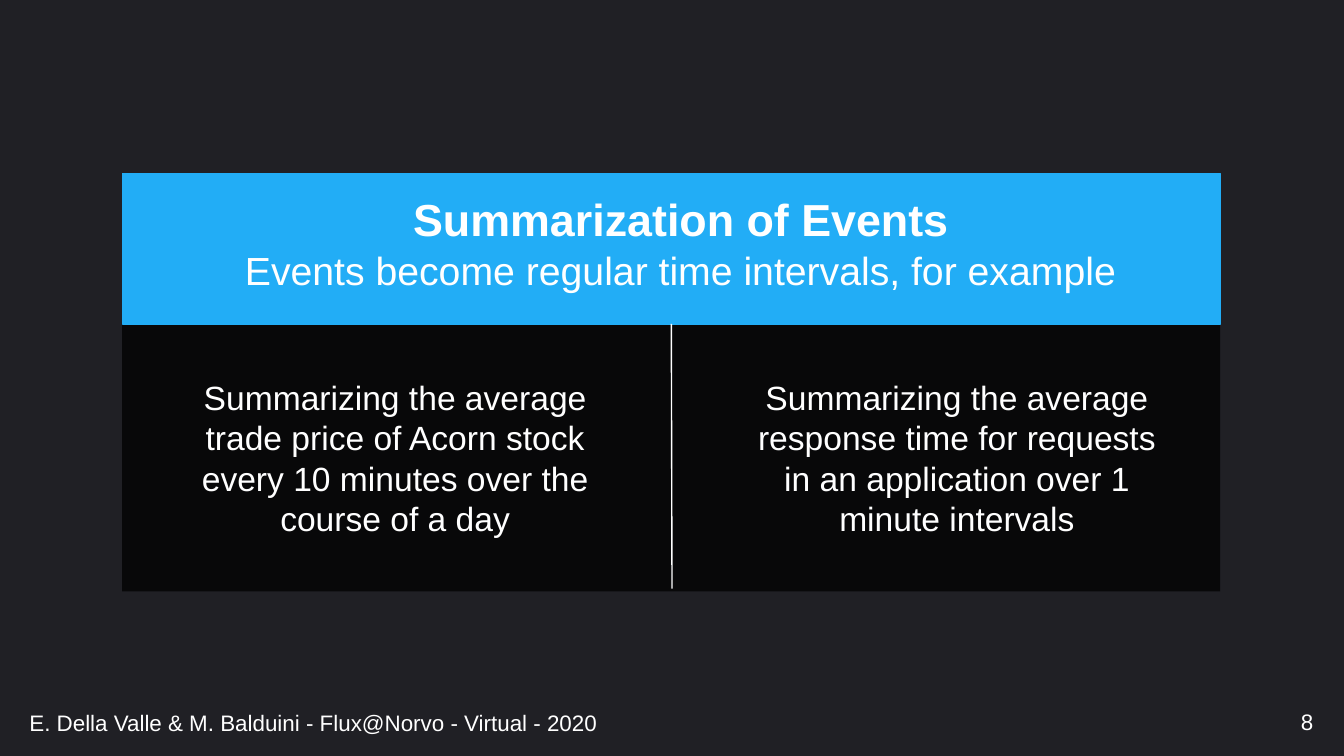
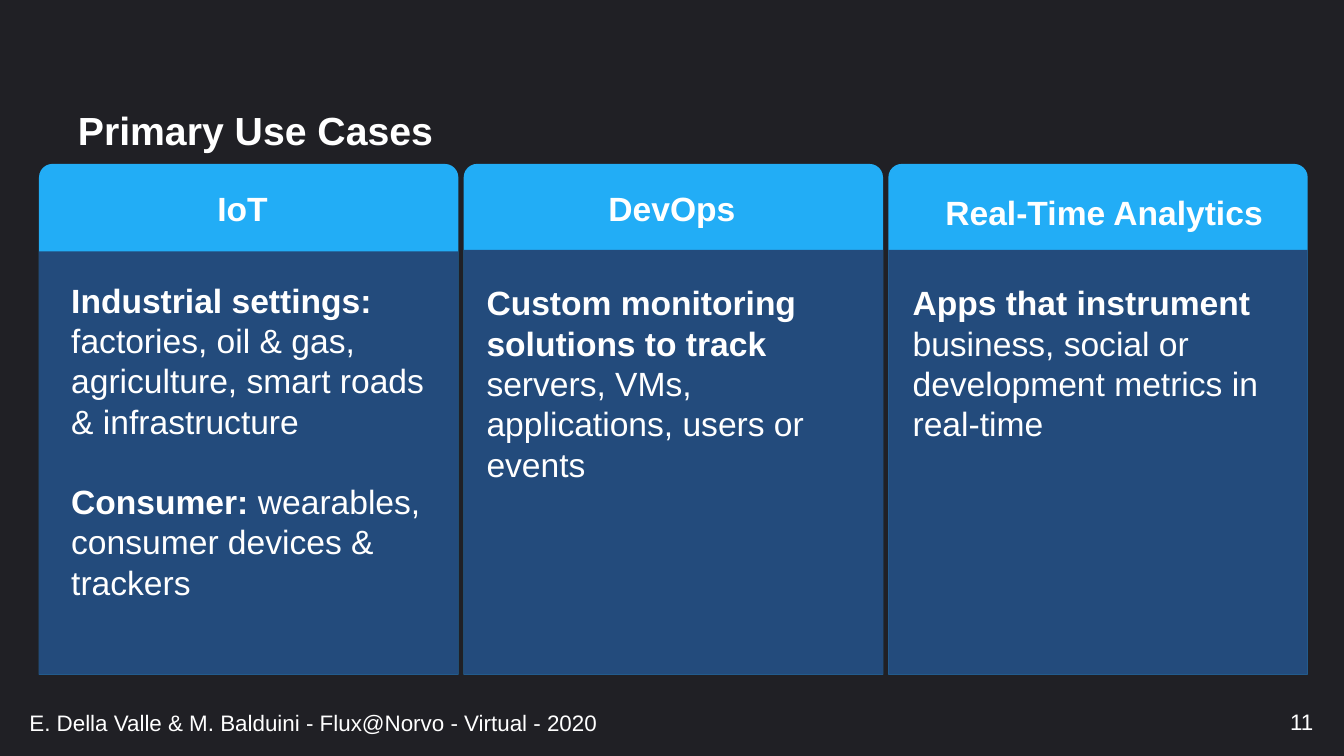
from lxml import etree
from pptx import Presentation
from pptx.dml.color import RGBColor
from pptx.enum.shapes import MSO_CONNECTOR, MSO_SHAPE
from pptx.enum.text import MSO_ANCHOR, PP_ALIGN
from pptx.oxml.ns import qn
from pptx.util import Inches, Pt

RECT = MSO_SHAPE.RECTANGLE
ROUND_TOP = MSO_SHAPE.ROUND_2_SAME_RECTANGLE
STRAIGHT = MSO_CONNECTOR.STRAIGHT
LEFT, CENTER, RIGHT = PP_ALIGN.LEFT, PP_ALIGN.CENTER, PP_ALIGN.RIGHT
TOP, MIDDLE = MSO_ANCHOR.TOP, MSO_ANCHOR.MIDDLE

DARK = RGBColor(0x20, 0x20, 0x25)
BLACK = RGBColor(0x00, 0x00, 0x00)
WHITE = RGBColor(0xFF, 0xFF, 0xFF)
SKY = RGBColor(0x22, 0xAD, 0xF6)
NAVY = RGBColor(0x23, 0x4B, 0x7C)

FONT = "Arial"
FOOTER = "E. Della Valle & M. Balduini - Flux@Norvo - Virtual - 2020"
WIDE_INSETS = (0.1, 0.1)
SLIM_INSETS = (0.07, 0.04)

EXAMPLES = [
    (1.3, "Summarizing the average trade price of Acorn stock "
          "every 10 minutes over the course of a day"),
    (5.48, "Summarizing the average response time for requests "
           "in an application over 1 minute intervals"),
]

CARD_LEFT, CARD_TOP, CARD_W, CARD_H, CARD_STEP = 0.29, 1.22, 3.12, 3.8, 3.16
USE_CASES = [
    ("IoT", (1.54, 1.36, 0.53, 0.38), 1.87, (0.46, 2.04, 2.79, 3.02), [
        [("Industrial settings:", True),
         (" factories, oil & gas, agriculture, smart roads & infrastructure", False)],
        [("Consumer:", True),
         (" wearables, consumer devices & trackers", False)],
    ]),
    ("DevOps", (4.45, 1.36, 1.1, 0.38), 1.86, (3.55, 2.06, 2.81, 2.79), [
        [("Custom monitoring solutions to track ", True),
         ("servers, VMs, applications, users or events", False)],
    ]),
    ("Real-Time Analytics", (6.72, 1.39, 2.99, 0.3), 1.86, (6.72, 2.06, 2.81, 2.79), [
        [("Apps that instrument ", True),
         ("business, social or development metrics in real-time", False)],
    ]),
]


def add_box(s, at, color, kind=RECT, radius=None, line=None, alpha=None):
    """Add a filled preset shape, optionally outlined or translucent."""
    sp = s.shapes.add_shape(kind, *map(Inches, at))
    sp.shadow.inherit = False
    sp.fill.solid()
    sp.fill.fore_color.rgb = color
    if radius is not None:
        sp.adjustments[0] = radius
    if line is None:
        sp.line.fill.background()
    else:
        sp.line.color.rgb = line
        sp.line.width = Pt(0.75)
    if alpha is not None:
        clr = sp._element.spPr.find(qn("a:solidFill"))[0]
        etree.SubElement(clr, qn("a:alpha")).set("val", str(alpha * 1000))
    return sp


def add_divider(s, upper, x, bottom):
    """Draw a thin line down from the bottom of a box."""
    cx = s.shapes.add_connector(STRAIGHT, Inches(x), upper.top + upper.height,
                                Inches(x), Inches(bottom))
    cx.begin_connect(upper, 2)
    cx.line.color.rgb = WHITE
    cx.line.width = Pt(0.75)
    etree.SubElement(cx._element.spPr, qn("a:effectLst"))


def add_run(p, text, size, bold=False):
    """Append one white run to a paragraph."""
    r = p.add_run()
    r.text = text
    r.font.name = FONT
    r.font.size = Pt(size)
    r.font.bold = bold
    r.font.color.rgb = WHITE


def add_text(s, at, insets=SLIM_INSETS, anchor=TOP, wrap=True):
    """Add an empty text box and return its text frame."""
    tf = s.shapes.add_textbox(*map(Inches, at)).text_frame
    tf.word_wrap = wrap
    tf.vertical_anchor = anchor
    tf.margin_left = tf.margin_right = Inches(insets[0])
    tf.margin_top = tf.margin_bottom = Inches(insets[1])
    return tf


def add_label(s, at, text, size, bold=False, align=LEFT, **frame):
    """Add a text box holding a single run."""
    p = add_text(s, at, **frame).paragraphs[0]
    p.alignment = align
    add_run(p, text, size, bold)
    return p


def add_slide(prs, number):
    """Add a dark slide with the footer and its page number."""
    s = prs.slides.add_slide(prs.slide_layouts[6])
    s.background.fill.solid()
    s.background.fill.fore_color.rgb = DARK
    footer = {"insets": (0.1, 0.05), "anchor": MIDDLE}
    add_label(s, (0.12, 5.23, 7.45, 0.29), FOOTER, 12, **footer)
    add_label(s, (7.62, 5.22, 2.25, 0.3), str(number), 12, align=RIGHT, **footer)
    return s


def add_card(s, index, name, name_at, body_top, text_at, paragraphs):
    """Add one use-case card with its heading and description."""
    left = CARD_LEFT + index * CARD_STEP
    body_h = CARD_TOP + CARD_H - body_top
    add_box(s, (left, CARD_TOP, CARD_W, CARD_H), SKY, ROUND_TOP, 0.032)
    add_box(s, (left, body_top, CARD_W, body_h), NAVY, ROUND_TOP, 0)
    add_label(s, name_at, name, 18, True, CENTER, wrap=False)
    tf = add_text(s, text_at)
    for i, runs in enumerate(paragraphs):
        p = tf.add_paragraph() if i else tf.paragraphs[0]
        if i:
            p.space_before = Pt(21.5)
        for text, bold in runs:
            add_run(p, text, 18, bold)


def build_summary(prs):
    """Build the slide on summarizing events."""
    s = add_slide(prs, 8)
    add_box(s, (0.91, 2.41, 8.17, 1.99), BLACK, alpha=75)
    header = add_box(s, (0.91, 1.29, 8.17, 1.12), SKY, line=SKY)
    add_divider(s, header, 5, 4.38)
    tf = add_text(s, (1.33, 1.33, 7.47, 0.69), WIDE_INSETS)
    p = tf.paragraphs[0]
    p.alignment = CENTER
    add_run(p, "Summarization of Events", 24, True)
    p = tf.add_paragraph()
    p.alignment = CENTER
    add_run(p, "Events become regular time intervals, for example", 21)
    for left, text in EXAMPLES:
        add_label(s, (left, 2.32, 3.28, 2.17), text, 18, align=CENTER,
                  insets=WIDE_INSETS, anchor=MIDDLE)


def build_use_cases(prs):
    """Build the slide with three use-case cards."""
    s = add_slide(prs, 11)
    title = add_label(s, (0.51, 0.67, 8.98, 0.64), "Primary Use Cases", 21, True,
                      anchor=MIDDLE)
    title.line_spacing = 0.9
    for index, case in enumerate(USE_CASES):
        add_card(s, index, *case)


def main():
    """Build and save the presentation."""
    prs = Presentation()
    prs.slide_width = Inches(10)
    prs.slide_height = prs.slide_width * 9 // 16
    build_summary(prs)
    build_use_cases(prs)
    prs.save("out.pptx")


if __name__ == "__main__":
    main()
